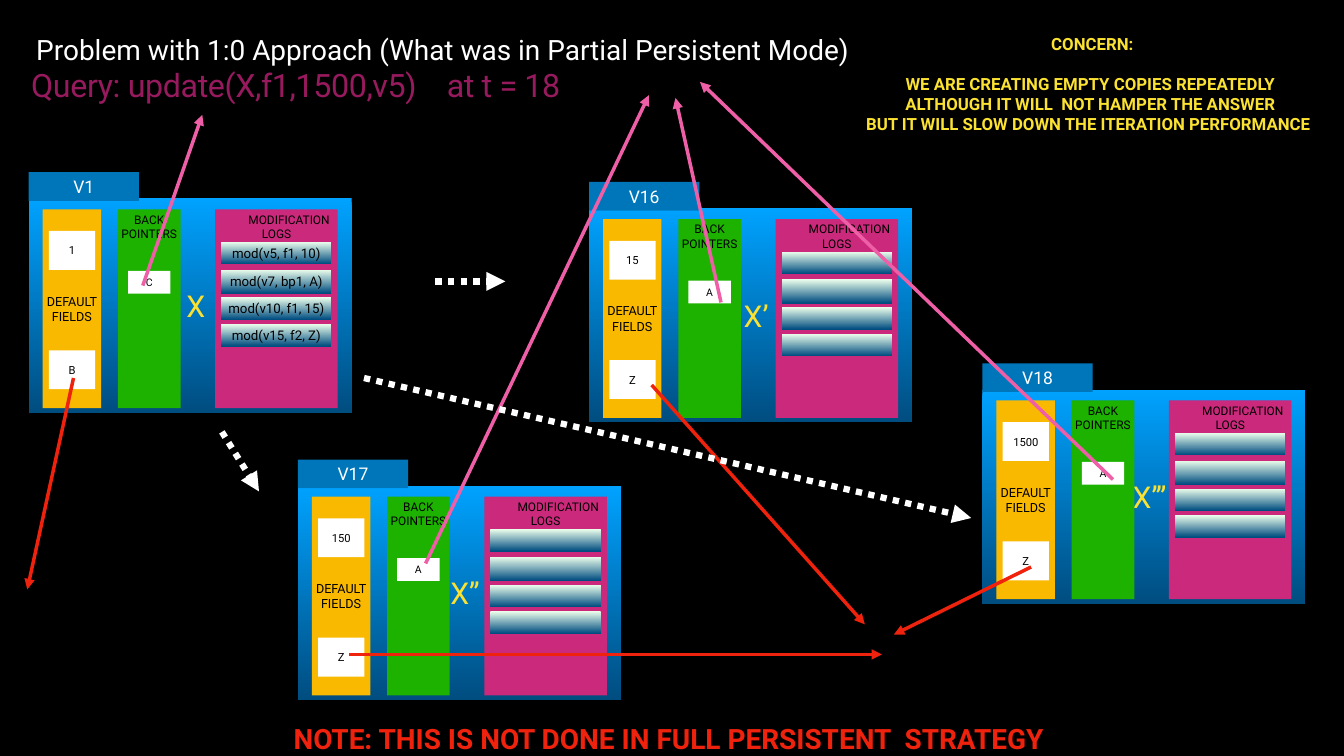
"""Builds a slide on empty node copies in a partially persistent structure."""
from lxml import etree
from pptx import Presentation
from pptx import util as u
from pptx.dml.color import RGBColor
from pptx.enum import dml, shapes, text
from pptx.oxml.ns import qn

Pt = u.Pt
BLACK = RGBColor(0x00, 0x00, 0x00)
WHITE = RGBColor(0xFF, 0xFF, 0xFF)
YELLOW = RGBColor(0xFA, 0xE1, 0x32)
AMBER = RGBColor(0xF9, 0xB9, 0x00)
GREEN = RGBColor(0x1D, 0xB1, 0x00)
MAGENTA = RGBColor(0xCB, 0x29, 0x7B)
PLUM = RGBColor(0x98, 0x1A, 0x5E)
PINK = RGBColor(0xEF, 0x5F, 0xA8)
RED = RGBColor(0xEE, 0x22, 0x0D)
BLUE = RGBColor(0x00, 0x76, 0xBA)
BODY = (RGBColor(0x00, 0xA2, 0xFF), RGBColor(0x00, 0x4D, 0x80))
ENTRY = (RGBColor(0xEC, 0xFF, 0xEC), RGBColor(0x00, 0x4D, 0x80))

MODS = ("mod(v5, f1, 10)", "mod(v7, bp1, A)", "mod(v10, f1, 15)", "mod(v15, f2, Z)")
EMPTY = ("",) * 4
CARDS = (
    (41, 246, "V1", "X", "1", "B", "C", MODS),
    (841.5, 260, "V16", "X’", "15", "Z", "A", EMPTY),
    (425.5, 656.5, "V17", "X’’", "150", "Z", "A", EMPTY),
    (1403.5, 519, "V18", "X’’’", "1500", "Z", "A", EMPTY),
)
BACK_ARROWS = (
    (204, 408, 289, 164),
    (1030, 432, 965, 140),
    (608, 805, 927, 136),
    (1590, 685, 1000, 117),
)
FIELD_ARROWS = (
    (105, 540, 39, 842),
    (931, 550, 1235.5, 892),
    (499, 935, 1260, 935),
    (1473, 810, 1277, 906.5),
)
COPY_ARROWS = (
    (622, 402, 722, 402),
    (317, 617, 370, 702),
    (520, 540, 1387.5, 740),
)


class Board:
    """Holds the text style and the slide being drawn."""

    font = "Roboto"
    inset = Pt(4)

    def __init__(self, s):
        self.s = s

    def fill_text(self, sp, lines, size, color, bold=False, align=text.PP_ALIGN.CENTER,
                  anchor=text.MSO_ANCHOR.MIDDLE, wrap=True):
        tf = sp.text_frame
        tf.word_wrap = wrap
        tf.vertical_anchor = anchor
        tf.margin_left = tf.margin_right = tf.margin_top = tf.margin_bottom = self.inset
        for i, line in enumerate(lines):
            p = tf.add_paragraph() if i else tf.paragraphs[0]
            p.alignment = align
            r = p.add_run()
            r.text = line
            r.font.name, r.font.size, r.font.bold = self.font, Pt(size), bold
            r.font.color.rgb = color
        return tf

    def title(self, x, y, w, h, line, size, color):
        sp = self.s.shapes.title
        sp.left, sp.top, sp.width, sp.height = Pt(x), Pt(y), Pt(w), Pt(h)
        tf = self.fill_text(sp, [line], size, color, wrap=False)
        tf.auto_size = text.MSO_AUTO_SIZE.SHAPE_TO_FIT_TEXT

    def label(self, x, y, w, h, lines, size, color, **style):
        sp = self.s.shapes.add_textbox(Pt(x), Pt(y), Pt(w), Pt(h))
        tf = self.fill_text(sp, lines, size, color, **style)
        tf.auto_size = text.MSO_AUTO_SIZE.SHAPE_TO_FIT_TEXT
        return tf

    def box(self, group, x, y, w, h, fill, line="", size=16, color=BLACK, **style):
        sp = group.shapes.add_shape(shapes.MSO_SHAPE.RECTANGLE, Pt(x), Pt(y), Pt(w), Pt(h))
        sp.shadow.inherit = False
        sp.line.fill.background()
        if isinstance(fill, RGBColor):
            sp.fill.solid()
            sp.fill.fore_color.rgb = fill
        else:
            sp.fill.gradient()
            sp.fill.gradient_angle = 270
            for stop, shade in zip(sp.fill.gradient_stops, fill):
                stop.color.rgb = shade
        if line:
            self.fill_text(sp, [line], size, color, **style)
        return sp

    def card(self, x, y, version, node, field, link, pointer, mods):
        g = self.s.shapes.add_group_shape()
        top = text.MSO_ANCHOR.TOP
        body = self.box(g, x, y + 37.5, 461.5, 306, BODY, node, 43, YELLOW)
        body.text_frame.margin_left = Pt(20)
        self.box(g, x + 20, y + 53, 83.5, 284, AMBER, "DEFAULT FIELDS", 18)
        self.box(g, x + 127.5, y + 53, 89.5, 284, GREEN, "BACK POINTERS", 17, anchor=top)
        for dy, value in ((84, field), (254.5, link)):
            self.box(g, x + 29, y + dy, 66, 55.5, WHITE, value)
        self.box(g, x, y, 157.5, 41, BLUE, version, 25, WHITE)
        logs = self.box(g, x + 266.5, y + 53, 175, 284, MAGENTA, "MODIFICATION LOGS", 17,
                        anchor=top)
        p = logs.text_frame.paragraphs[0]
        p._p.get_or_add_pPr().set("indent", str(Pt(36)))
        for dy, h, mod in zip((99.5, 139, 179, 217), (31.5, 34, 31.5, 31.5), mods):
            self.box(g, x + 275, y + dy, 157.5, h, ENTRY, mod, 19)
        self.box(g, x + 142, y + 141, 60.5, 32.5, WHITE, pointer, 15)

    def arrow(self, x1, y1, x2, y2, color, width=5, dash=None):
        c = self.s.shapes.add_connector(
            shapes.MSO_CONNECTOR.STRAIGHT, Pt(x1), Pt(y1), Pt(x2), Pt(y2))
        c.line.color.rgb = color
        c.line.width = Pt(width)
        if dash:
            c.line.dash_style = dash
        etree.SubElement(c.line._get_or_add_ln(), qn("a:tailEnd"), type="triangle")
        etree.SubElement(c._element.spPr, qn("a:effectLst"))


def main():
    prs = Presentation()
    prs.slide_width, prs.slide_height = Pt(1920), Pt(1080)
    s = prs.slides.add_slide(prs.slide_layouts[5])
    s.background.fill.solid()
    s.background.fill.fore_color.rgb = BLACK
    board = Board(s)

    board.title(45.5, 42.5, 1173.5, 54.5,
                "Problem with 1:0 Approach (What was in Partial Persistent Mode)", 40, WHITE)
    query = board.label(40.5, 89.5, 953, 62, ["Query: update(X,f1,1500,v5)    at t = 18"],
                        46, PLUM, align=text.PP_ALIGN.LEFT)
    query.paragraphs[0].runs[0].font._element.set("spc", "-50")
    board.label(372, 1026.5, 1176, 56,
                ["NOTE: THIS IS NOT DONE IN FULL PERSISTENT  STRATEGY "],
                40, RED, bold=True, wrap=False)
    concern = board.label(1205.5, 44, 710, 152.5, [
        "CONCERN:",
        "WE ARE CREATING EMPTY COPIES REPEATEDLY ",
        "ALTHOUGH IT WILL  NOT HAMPER THE ANSWER ",
        "BUT IT WILL SLOW DOWN THE ITERATION PERFORMANCE  ",
    ], 24, YELLOW, bold=True, wrap=False)
    concern.paragraphs[1].space_before = Pt(28)

    for card in CARDS:
        board.card(*card)
    for ends in BACK_ARROWS:
        board.arrow(*ends, PINK)
    for ends in FIELD_ARROWS:
        board.arrow(*ends, RED)
    for ends in COPY_ARROWS:
        board.arrow(*ends, WHITE, 9, dml.MSO_LINE.ROUND_DOT)
    prs.save("out.pptx")


if __name__ == "__main__":
    main()
